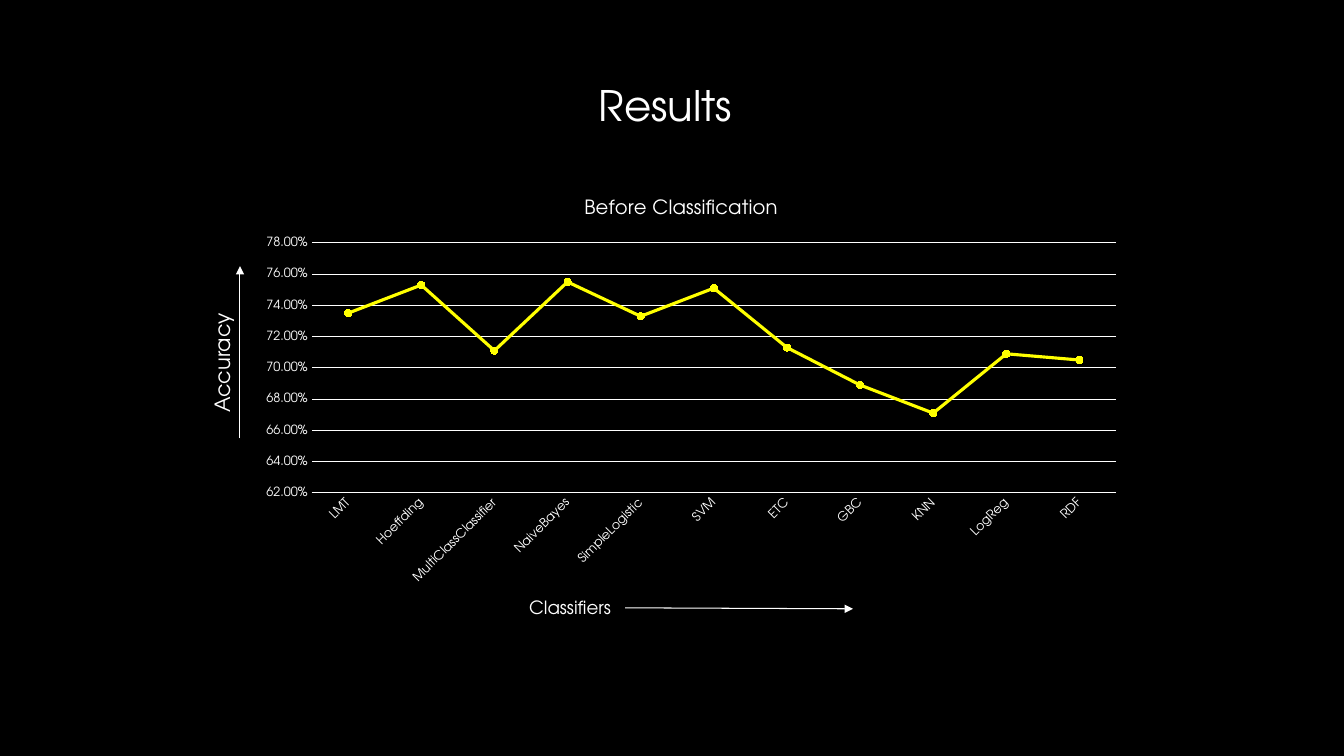
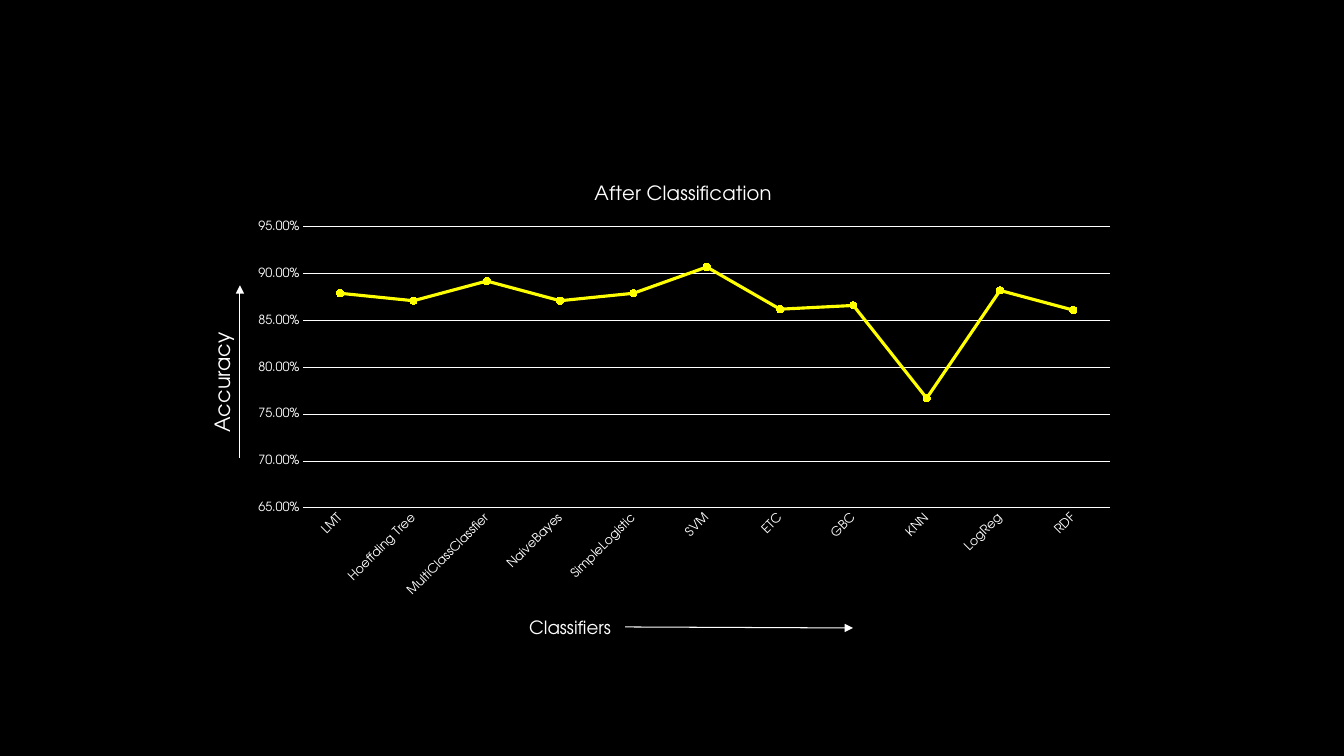
import pptx
import pptx.chart.data
import pptx.dml.color
import pptx.enum.chart
import pptx.enum.shapes
import pptx.oxml
import pptx.oxml.ns
import pptx.util

Inches = pptx.util.Inches
Pt = pptx.util.Pt
qn = pptx.oxml.ns.qn
enum = pptx.enum.chart

FACE = "TeX Gyre Adventor"
INK, BACK, TREND = "FFFFFF", "000000", "FFFF00"
NAMES = ["LMT", "Hoeffding", "MultiClassClassifier", "NaiveBayes", "SimpleLogistic",
         "SVM", "ETC", "GBC", "KNN", "LogReg", "RDF"]
CHARTS = [
    {"title": "Before Classification", "names": NAMES,
     "rates": [73.5, 75.3, 71.1, 75.5, 73.3, 75.1, 71.3, 68.9, 67.1, 70.9, 70.5],
     "scale": (0.62, 0.78, 0.02), "box": (2.46, 1.83, 8.78, 4.04),
     "plot": (0.63, 0.58, 7.98, 2.48), "head": (3.3, 0.09), "guide": 2.64},
    {"title": "After Classification",
     "names": ["LMT", "Hoeffding Tree", "MultiClassClassfier"] + NAMES[3:],
     "rates": [87.9, 87.1, 89.2, 87.1, 87.9, 90.7, 86.2, 86.6, 76.7, 88.2, 86.1],
     "scale": (0.65, 0.95, 0.05), "box": (2.38, 1.66, 8.81, 4.35),
     "plot": (0.63, 0.59, 8, 2.79), "head": (3.48, 0.13), "guide": 2.83},
]


def put(thing, values):
    """Set each named value on an object."""
    for name, value in values.items():
        setattr(thing, name, value)


def paint(fill, color):
    """Give a fill one solid colour from a hex string."""
    fill.solid()
    fill.fore_color.rgb = pptx.dml.color.RGBColor.from_string(color)


def style(font, size):
    """Apply the shared face and ink to a font."""
    put(font, {"name": FACE, "size": Pt(size), "bold": False})
    paint(font.fill, INK)


def stroke(line, color, width):
    """Draw a line in one colour and width."""
    paint(line.fill, color)
    line.width = Pt(width)


def label(slide, box, text, size, turn=0):
    """Add a line of text in a box."""
    shape = slide.shapes.add_textbox(*map(Inches, box))
    shape.rotation = turn
    frame = shape.text_frame
    put(frame, {"word_wrap": True, "text": text})
    style(frame.paragraphs[0].runs[0].font, size)


def arrow(slide, start, end):
    """Add a thin arrow between two points."""
    link = slide.shapes.add_connector(
        pptx.enum.shapes.MSO_CONNECTOR.STRAIGHT, *map(Inches, start + end))
    stroke(link.line, INK, 0.75)
    line = link._element.spPr.find(qn("a:ln"))
    space = pptx.oxml.ns.nsdecls("a")
    line.append(pptx.oxml.parse_xml(f'<a:tailEnd {space} type="triangle"/>'))
    line.addnext(pptx.oxml.parse_xml(f"<a:effectLst {space}/>"))


def guides(slide, left, top):
    """Name both axes beside arrows that start from a corner."""
    label(slide, (left - 0.95, top + 0.61, 1.54, 0.35), "Accuracy", 15, 270)
    arrow(slide, (left, top + 1.71), (left, top))
    label(slide, (left + 2.77, top + 3.23, 1.05, 0.32), "Classifiers", 13)
    arrow(slide, (left + 3.82, top + 3.39), (left + 6.08, top + 3.4))


def place(part, index, spots, box, inner=False):
    """Fix a chart part at inches from the corner of the chart box."""
    for old in part.findall(qn("c:layout")):
        part.remove(old)
    tags = '<c:layoutTarget val="inner"/>' if inner else ""
    tags += '<c:xMode val="edge"/><c:yMode val="edge"/>'
    tags += "".join(f'<c:{name} val="{spot / span:.4f}"/>'
                    for name, spot, span in zip("xywh", spots, box[2:] * 2))
    part.insert(index, pptx.oxml.parse_xml(
        f'<c:layout {pptx.oxml.ns.nsdecls("c")}>'
        f'<c:manualLayout>{tags}</c:manualLayout></c:layout>'))


def axes(chart, scale):
    """Style the scale, grid and slanted names."""
    low, high, step = scale
    names, rates = chart.category_axis, chart.value_axis
    for axis in (names, rates):
        put(axis, {"major_tick_mark": enum.XL_TICK_MARK.NONE,
                   "minor_tick_mark": enum.XL_TICK_MARK.NONE})
        style(axis.tick_labels.font, 9)
    put(rates, {"minimum_scale": low, "maximum_scale": high,
                "major_unit": step, "has_major_gridlines": True})
    put(rates.tick_labels, {"number_format": "0.00%", "number_format_is_linked": False})
    rates.format.line.fill.background()
    for line in (names.format.line, rates.major_gridlines.format.line):
        stroke(line, INK, 0.75)
    names._element.find(qn("c:txPr")).find(qn("a:bodyPr")).set("rot", "-2700000")


def graph(slide, item):
    """Add a line chart of the rate for each name."""
    box = item["box"]
    data = pptx.chart.data.CategoryChartData(number_format="0.00%")
    data.categories = item["names"]
    data.add_series("Series 1", [round(rate / 100, 3) for rate in item["rates"]])
    chart = slide.shapes.add_chart(
        enum.XL_CHART_TYPE.LINE_MARKERS, *map(Inches, box), data).chart
    put(chart, {"has_legend": False, "has_title": True})
    style(chart.font, 10)
    title = chart.chart_title
    title.text_frame.text = item["title"]
    style(title.text_frame.paragraphs[0].runs[0].font, 14)
    place(title._element, 1, item["head"], box)
    place(chart._chartSpace.chart.plotArea, 0, item["plot"], box, True)
    axes(chart, item["scale"])
    chart.plots[0].vary_by_categories = False
    trend = chart.plots[0].series[0]
    trend.smooth = False
    stroke(trend.format.line, TREND, 2.25)
    put(trend.marker, {"style": enum.XL_MARKER_STYLE.CIRCLE, "size": 5})
    paint(trend.marker.format.fill, TREND)
    stroke(trend.marker.format.line, TREND, 0.75)


def page(deck, item):
    """Add a black slide with a chart and its guides."""
    slide = deck.slides.add_slide(deck.slide_layouts[6])
    paint(slide.background.fill, BACK)
    guides(slide, 2.38, item["guide"])
    graph(slide, item)
    return slide


def main():
    """Build and save the deck."""
    deck = pptx.Presentation()
    put(deck, {"slide_width": Inches(13.33), "slide_height": Inches(7.5)})
    first, _ = [page(deck, item) for item in CHARTS]
    label(first, (5.84, 0.74, 1.66, 0.61), "Results", 30)
    deck.save("out.pptx")


if __name__ == "__main__":
    main()
